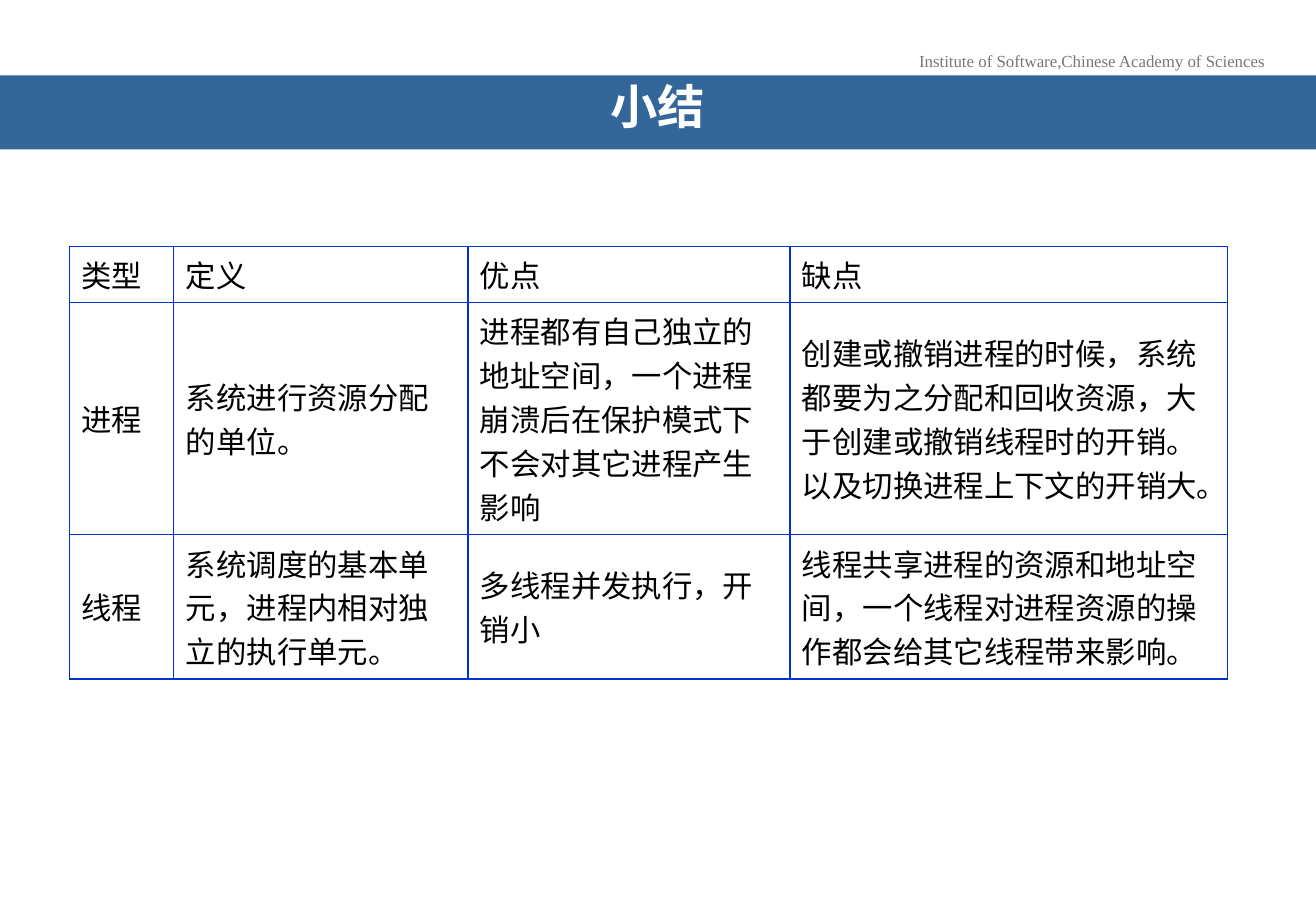
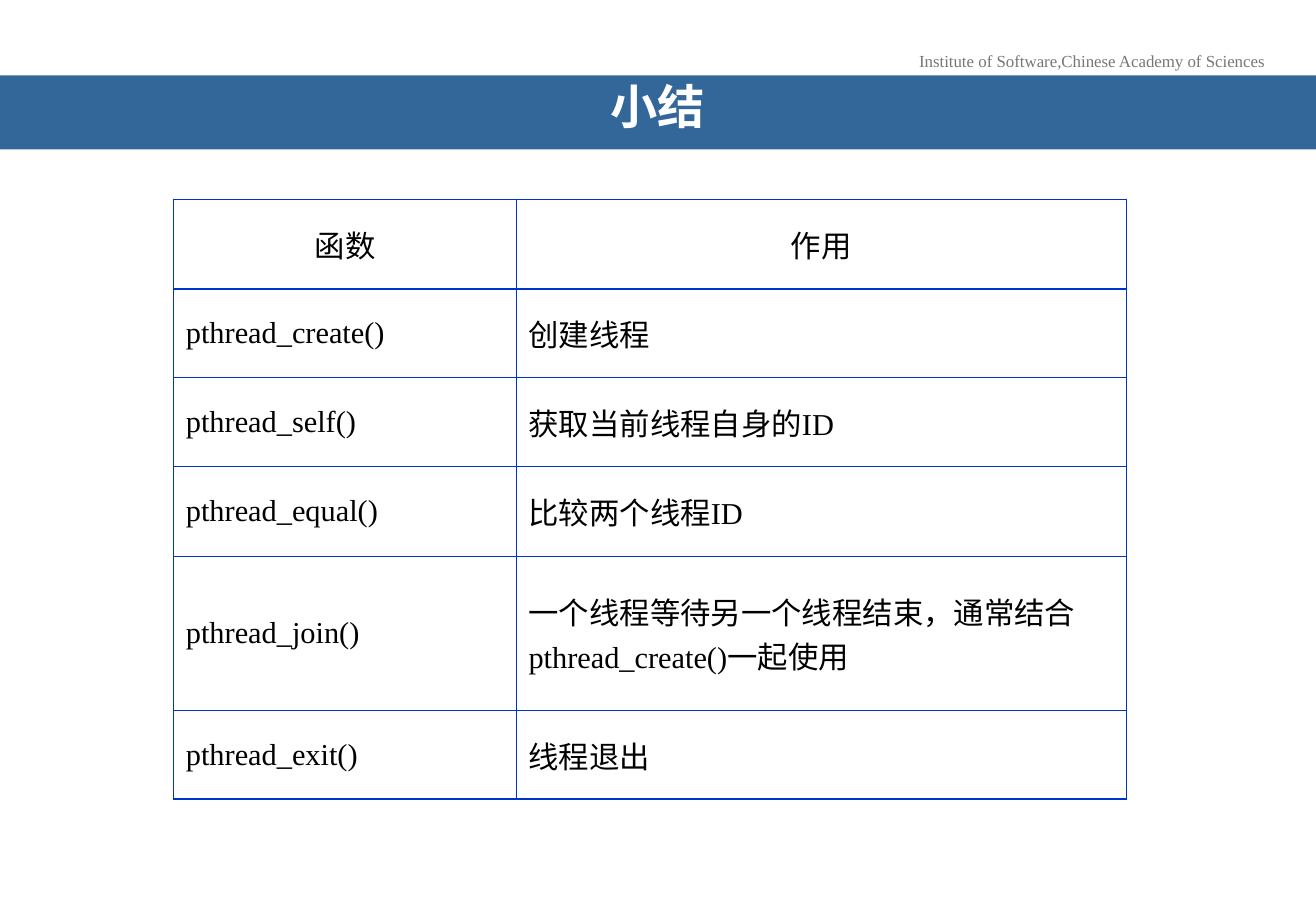
from lxml import etree
from pptx import Presentation
from pptx.dml.color import RGBColor
from pptx.enum.shapes import MSO_SHAPE
from pptx.enum.text import MSO_ANCHOR, PP_ALIGN
from pptx.oxml.ns import qn
from pptx.util import Inches, Pt

RECT = MSO_SHAPE.RECTANGLE
MIDDLE = MSO_ANCHOR.MIDDLE
LEFT = PP_ALIGN.LEFT
CENTER = PP_ALIGN.CENTER

WHITE = RGBColor(0xFF, 0xFF, 0xFF)
BLACK = RGBColor(0x00, 0x00, 0x00)
GRAY = RGBColor(0x77, 0x77, 0x77)
BAND = RGBColor(0x33, 0x66, 0x99)
RULE = RGBColor(0x00, 0x33, 0xCC)

SERIF = "Times New Roman"
NARROW = "Arial Narrow"
WIDTH = 10.83

TYPES = [
    ["类型", "定义", "优点", "缺点"],
    ["进程", "系统进行资源分配的单位。",
     "进程都有自己独立的地址空间，一个进程崩溃后在保护模式下不会对其它进程产生影响",
     "创建或撤销进程的时候，系统都要为之分配和回收资源，大于创建或撤销线程时的开销。以及切换进程上下文的开销大。"],
    ["线程", "系统调度的基本单元，进程内相对独立的执行单元。",
     "多线程并发执行，开销小",
     "线程共享进程的资源和地址空间，一个线程对进程资源的操作都会给其它线程带来影响。"],
]
CALLS = [
    ["函数", "作用"],
    ["pthread_create()", "创建线程"],
    ["pthread_self()", "获取当前线程自身的ID"],
    ["pthread_equal()", "比较两个线程ID"],
    ["pthread_join()", "一个线程等待另一个线程结束，通常结合pthread_create()一起使用"],
    ["pthread_exit()", "线程退出"],
]


def write(frame, text, size=18, font=SERIF, color=BLACK, bold=False,
          align=LEFT, spacing=None):
    para = frame.paragraphs[0]
    para.alignment = align
    para.line_spacing = spacing
    run = para.add_run()
    run.text = text
    run.font.size = Pt(size)
    run.font.name = font
    run.font.bold = bold
    run.font.color.rgb = color


def add_slide(deck, title):
    slide = deck.slides.add_slide(deck.slide_layouts[6])
    label = slide.shapes.add_textbox(
        Inches(7.45), Inches(0.37), Inches(3.07), Inches(0.27)).text_frame
    label.word_wrap = False
    write(label, "Institute of Software,Chinese Academy of Sciences",
          size=10, color=GRAY, align=CENTER)

    band = slide.shapes.add_shape(
        RECT, 0, Inches(0.62), Inches(WIDTH), Inches(0.61))
    band.shadow.inherit = False
    band.fill.solid()
    band.fill.fore_color.rgb = BAND
    band.line.fill.background()
    frame = band.text_frame
    frame.word_wrap = True
    frame.vertical_anchor = MIDDLE
    frame.margin_left = frame.margin_right = Inches(0.31)
    write(frame, title, size=28, font=NARROW, color=WHITE, bold=True,
          align=CENTER, spacing=0.7)
    return slide


def add_border(cell):
    props = cell._tc.get_or_add_tcPr()
    for side in ("lnL", "lnR", "lnT", "lnB"):
        line = etree.SubElement(props, qn("a:" + side), w=str(Pt(1)))
        fill = etree.SubElement(line, qn("a:solidFill"))
        etree.SubElement(fill, qn("a:srgbClr"), val=str(RULE))


def add_grid(slide, left, top, cols, rows, data, head=LEFT):
    table = slide.shapes.add_table(
        len(rows), len(cols), Inches(left), Inches(top),
        Inches(sum(cols)), Inches(sum(rows))).table
    table.first_row = False
    table.horz_banding = False
    for col, width in zip(table.columns, cols):
        col.width = Inches(width)
    for index, (row, height, texts) in enumerate(zip(table.rows, rows, data)):
        row.height = Inches(height)
        for cell, text in zip(row.cells, texts):
            add_border(cell)
            cell.fill.background()
            cell.vertical_anchor = MIDDLE
            write(cell.text_frame, text, align=LEFT if index else head)


def main():
    deck = Presentation()
    deck.slide_width = Inches(WIDTH)
    deck.slide_height = Inches(7.5)
    add_grid(add_slide(deck, "小结"), 0.57, 2.03,
             [0.86, 2.42, 2.65, 3.6], [0.46, 1.91, 1.19], TYPES)
    add_grid(add_slide(deck, "小结"), 1.43, 1.64,
             [2.82, 5.02], [0.74, 0.73, 0.73, 0.74, 1.27, 0.73], CALLS,
             head=CENTER)
    deck.save("out.pptx")


if __name__ == "__main__":
    main()
